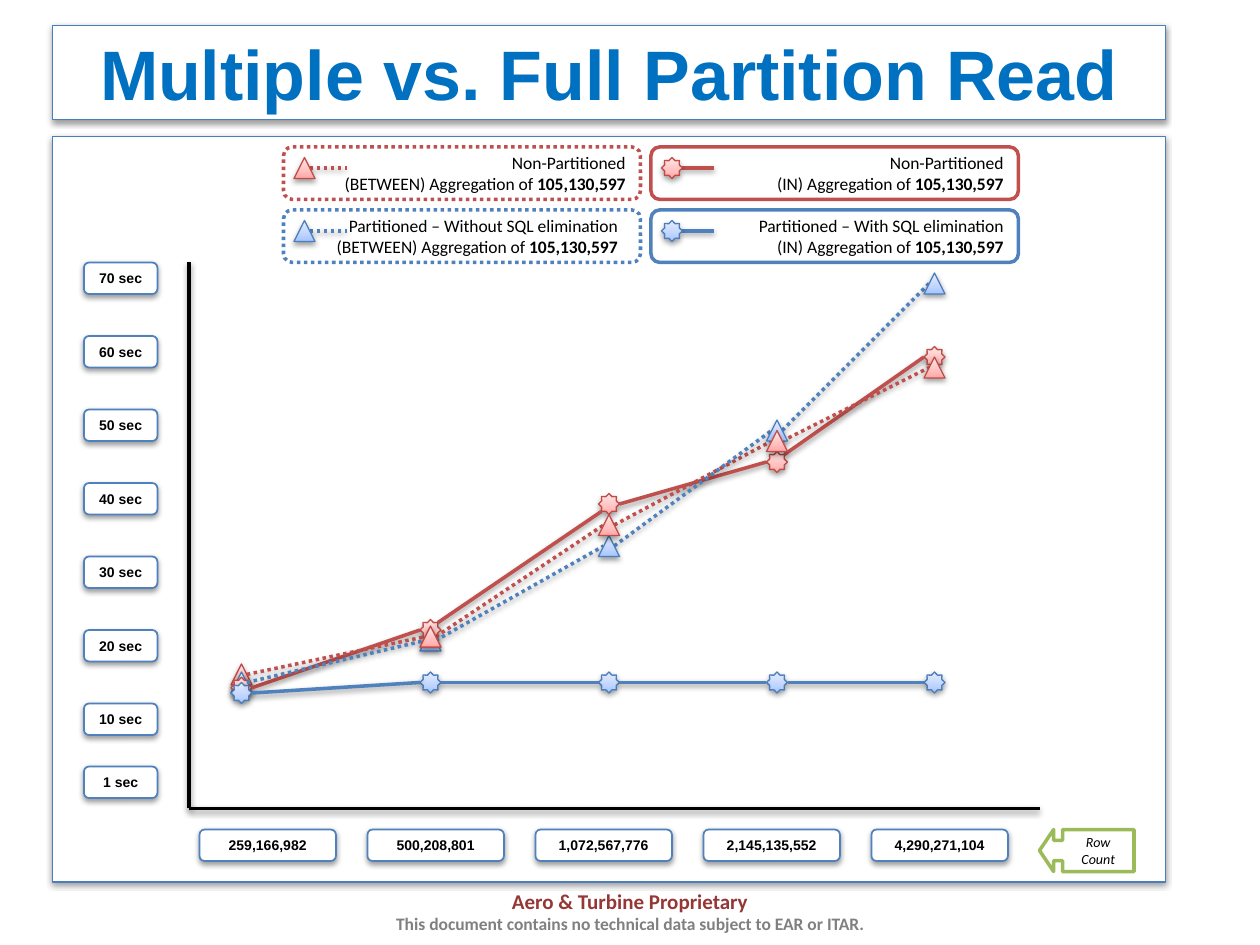
from copy import deepcopy
from itertools import pairwise
from lxml import etree
from pptx import Presentation
from pptx import util as u
from pptx.dml.color import RGBColor
from pptx.enum import dml, shapes, text
from pptx.oxml.ns import qn

Pt = u.Pt
SHAPE = shapes.MSO_SHAPE
ALIGN = text.PP_ALIGN

COLORS = {
    "white": "FFFFFF", "black": "000000", "frame": "4B7EBC",
    "blue": "4F81BD", "red": "C0504D", "green": "9BBB59",
    "title": "0070C0", "owner": "953735", "notice": "808080",
    "blue edge": "4B7EBC", "red edge": "BF4C48",
}
GRADIENTS = {
    "red": ((0, "FFA6A5"), (0.35, "FFC0BF"), (1, "FFE7E7")),
    "blue": ((0, "A4C4FF"), (0.35, "BFD4FF"), (1, "E6EEFF")),
}
TITLE = "Multiple vs. Full Partition Read"
ROW_COUNTS = ["259,166,982", "500,208,801", "1,072,567,776",
              "2,145,135,552", "4,290,271,104"]
SECONDS = [(70, 150), (60, 192), (50, 234), (40, 276),
           (30, 318), (20, 360), (10, 402), (1, 438)]
POINT_X = [138, 246, 348, 444, 534]
STARS = [("red", [393, 360, 288, 264, 204]),
         ("blue", [396, 390, 390, 390, 390])]
TRIANGLES = [("red", [385.4, 363.8, 300, 252, 210]),
             ("blue", [390, 366, 312, 246, 162])]
CORNER_STARTS = {("red", 1), ("red", 3)}
CORNER_ENDS = {("red", 1)}
AMOUNT = "105,130,597"
LEGEND = [
    ("red", True, 162, 84, "Non-Partitioned", 0),
    ("red", False, 372, 84, "Non-Partitioned", 0),
    ("blue", True, 162, 120, "Partitioned – Without SQL elimination", 4.5),
    ("blue", False, 372, 120, "Partitioned – With SQL elimination", 0),
]
FOOTER = [("Aero & Turbine Proprietary", 12, "owner"),
          ("This document contains no technical data subject to EAR or ITAR.",
           10, "notice")]
MARKER = 12
CORNER = 4.25


def rgb(name):
    return RGBColor.from_string(COLORS[name])


def add_effects(item, shadow):
    effects = etree.SubElement(item._element.spPr, qn("a:effectLst"))
    if shadow:
        outer = etree.SubElement(effects, qn("a:outerShdw"), blurRad="40000",
                                 dist="20000", dir="5400000", rotWithShape="0")
        color = etree.SubElement(outer, qn("a:srgbClr"), val=COLORS["black"])
        etree.SubElement(color, qn("a:alpha"), val="38000")


def set_line(line, color, width, dotted=False):
    line.color.rgb = rgb(color)
    line.width = Pt(width)
    if dotted:
        line.dash_style = dml.MSO_LINE.ROUND_DOT


def style_box(box, color, width, dotted=False, shadow=True):
    box.fill.solid()
    box.fill.fore_color.rgb = rgb("white")
    set_line(box.line, color, width, dotted)
    add_effects(box, shadow)


def add_box(kind, left, top, width, height):
    return page.shapes.add_shape(kind, Pt(left), Pt(top), Pt(width), Pt(height))


def write(para, spans, size, font, color="black", align=ALIGN.CENTER,
          bold=None, italic=None):
    para.alignment = align
    para.font.size = Pt(size)
    para.font.name = font
    para.font.color.rgb = rgb(color)
    para.font.bold = bold
    para.font.italic = italic
    for content in spans:
        para.add_run().text = content


def add_label(content, left, top, width):
    box = add_box(SHAPE.ROUNDED_RECTANGLE, left, top, width, 18)
    style_box(box, "blue", 1)
    box.text_frame.vertical_anchor = text.MSO_ANCHOR.MIDDLE
    write(box.text_frame.paragraphs[0], [content], 8, "Arial", bold=True)


def add_marker(kind, color, x, y):
    marker = add_box(kind, x - MARKER / 2, y - MARKER / 2, MARKER, MARKER)
    marker.fill.gradient()
    stops = marker._element.spPr.find(".//" + qn("a:gsLst"))
    stops.append(deepcopy(stops[0]))
    for stop, (position, value) in zip(marker.fill.gradient_stops,
                                       GRADIENTS[color]):
        stop.position = position
        stop.color.rgb = RGBColor.from_string(value)
    marker.fill.gradient_angle = 90
    set_line(marker.line, color + " edge", 0.75)
    add_effects(marker, True)


def add_line(color, start, end, dotted=False):
    line = page.shapes.add_connector(shapes.MSO_CONNECTOR.STRAIGHT,
                                     *(Pt(value) for value in (*start, *end)))
    set_line(line.line, color, 2, dotted)
    add_effects(line, True)


def add_legend(color, dotted, left, top, heading, indent):
    box = add_box(SHAPE.ROUNDED_RECTANGLE, left, top, 204 if dotted else 210, 30)
    style_box(box, color, 2, dotted, shadow=False)
    frame = box.text_frame
    frame.vertical_anchor = text.MSO_ANCHOR.MIDDLE
    first, second = frame.paragraphs[0], frame.add_paragraph()
    write(first, [heading], 10, "Calibri", align=ALIGN.RIGHT)
    if indent:
        first._p.get_or_add_pPr().set("marR", str(Pt(indent)))
    method = "BETWEEN" if dotted else "IN"
    write(second, [f"({method}) Aggregation of ", AMOUNT], 10, "Calibri",
          align=ALIGN.RIGHT)
    second.runs[1].font.bold = True
    x, y = left + 12, top + 12
    add_line(color, (x + (3 if dotted else 6), y), (left + 36, y), dotted)
    add_marker(SHAPE.ISOSCELES_TRIANGLE if dotted else SHAPE.STAR_8_POINT,
               color, x, y)


deck = Presentation()
deck.slide_width, deck.slide_height = Pt(720), Pt(540)
page = deck.slides.add_slide(deck.slide_layouts[5])

title = page.shapes.title
title.left, title.top, title.width, title.height = Pt(30), Pt(14.4), Pt(636), Pt(54)
style_box(title, "frame", 0.75)
title.text_frame.vertical_anchor = text.MSO_ANCHOR.MIDDLE
write(title.text_frame.paragraphs[0], [TITLE], 40, "Arial", "title", bold=True)

style_box(add_box(SHAPE.RECTANGLE, 30, 78, 636, 426), "frame", 0.75)
add_line("black", (108, 150), (108, 462))
add_line("black", (594, 462), (108, 462))
for index, count in enumerate(ROW_COUNTS):
    add_label(count, 114 + 96 * index, 474, 78)
for second, top in SECONDS:
    add_label(f"{second} sec", 48, top, 42)
for entry in LEGEND:
    add_legend(*entry)

for color, heights in TRIANGLES:
    add_marker(SHAPE.ISOSCELES_TRIANGLE, color, POINT_X[0], heights[0])
for color, heights in STARS:
    points = list(zip(POINT_X, heights))
    for x, y in points:
        add_marker(SHAPE.STAR_8_POINT, color, x, y)
    for index, ((x1, y1), (x2, y2)) in enumerate(pairwise(points)):
        key = (color, index)
        start = (x1 + CORNER, y1 - CORNER) if key in CORNER_STARTS else (x1 + 6, y1)
        end = (x2 - CORNER, y2 + CORNER) if key in CORNER_ENDS else (x2 - 6, y2)
        add_line(color, start, end)
for color, heights in TRIANGLES:
    for (x1, y1), (x2, y2) in pairwise(zip(POINT_X, heights)):
        add_line(color, (x1 + 3, y1), (x2 - 3, y2), dotted=True)
for color, heights in reversed(TRIANGLES):
    for x, y in list(zip(POINT_X, heights))[1:]:
        add_marker(SHAPE.ISOSCELES_TRIANGLE, color, x, y)

arrow = add_box(SHAPE.LEFT_ARROW_CALLOUT, 594, 474, 54, 24)
for index, value in enumerate((0.483, 0.5, 0.337, 0.756)):
    arrow.adjustments[index] = value
style_box(arrow, "green", 2, shadow=False)
arrow.text_frame.vertical_anchor = text.MSO_ANCHOR.MIDDLE
write(arrow.text_frame.paragraphs[0], ["Row Count"], 8, "Calibri", italic=True)

footer = page.shapes.add_textbox(Pt(12), Pt(504), Pt(696), Pt(30)).text_frame
footer.word_wrap = True
for index, (content, size, color) in enumerate(FOOTER):
    para = footer.add_paragraph() if index else footer.paragraphs[0]
    write(para, [content], size, "Calibri", color, bold=True)

deck.save("out.pptx")
